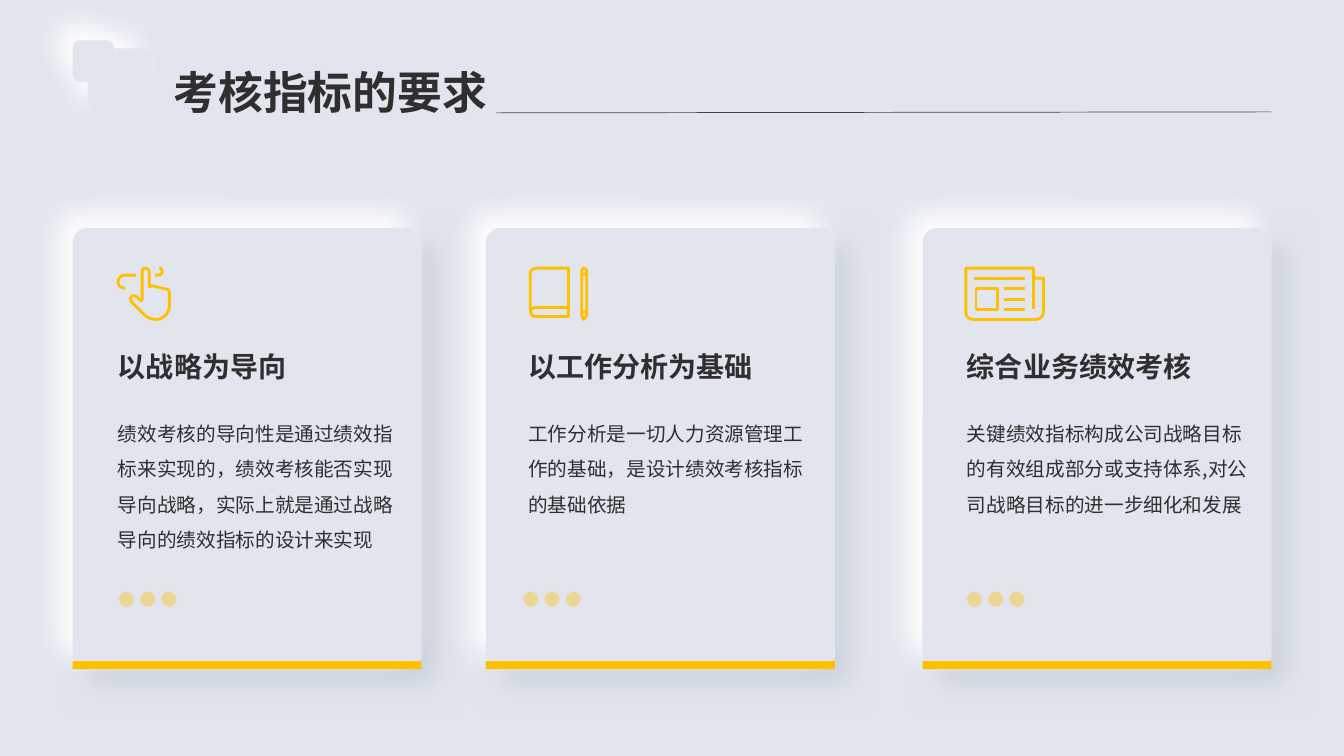
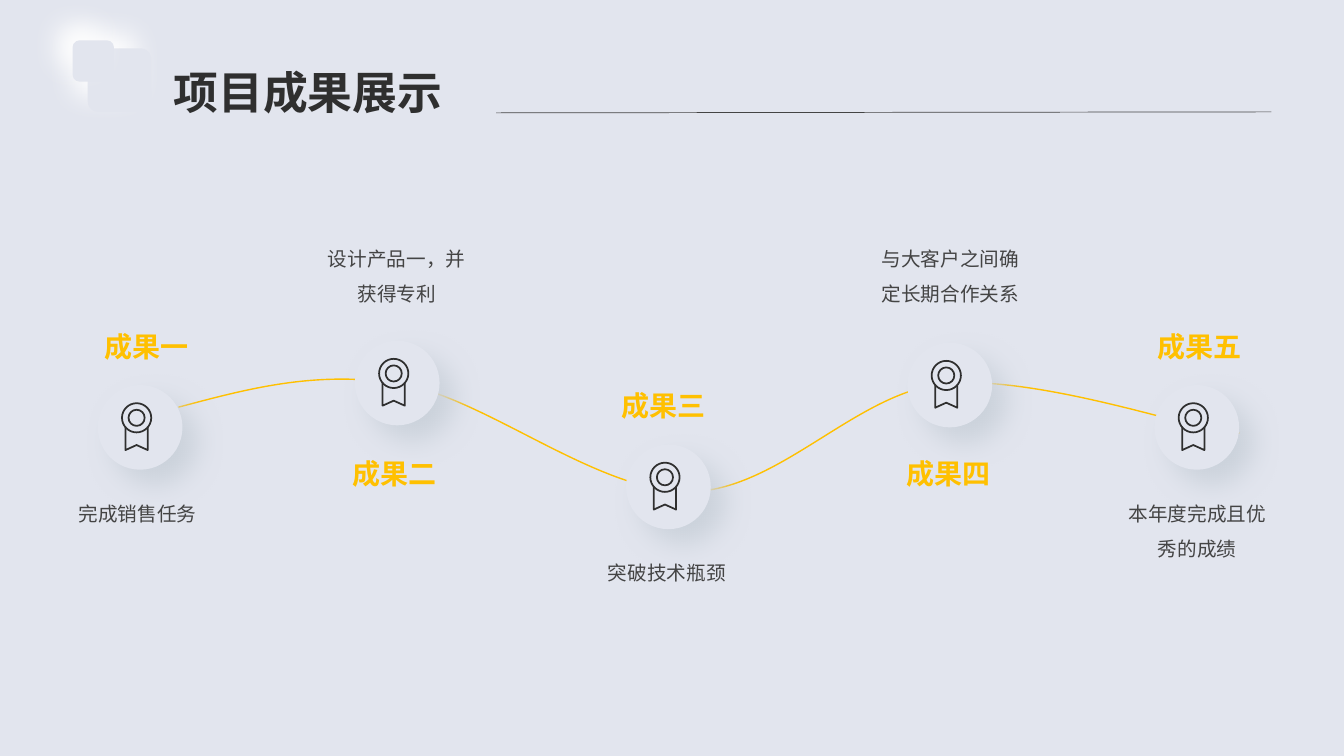
import pptx
import pptx.dml.color
import pptx.enum.shapes
import pptx.enum.text
import pptx.oxml.ns
import pptx.util
from lxml import etree

Inches, Pt = pptx.util.Inches, pptx.util.Pt
rgb = pptx.dml.color.RGBColor.from_string
qn = pptx.oxml.ns.qn
SHAPE = pptx.enum.shapes.MSO_SHAPE
LEFT, CENTER = pptx.enum.text.PP_ALIGN.LEFT, pptx.enum.text.PP_ALIGN.CENTER
TOP, BOTTOM = pptx.enum.text.MSO_ANCHOR.TOP, pptx.enum.text.MSO_ANCHOR.BOTTOM

FONT = "Noto Sans CJK SC"
PAPER, GOLD, INK, GREY = "E2E5EE", "FFC000", "2F2F2F", "444444"
LIGHT, SHADE = ("FFFFFF", 225), ("CCD3DC", 45)  # shadow colour and direction


def paint(shape, fill=PAPER, shadow=None, opacity=100):
    """Fill a shape without outline, with an optional soft shadow."""
    shape.fill.solid()
    shape.fill.fore_color.rgb = rgb(fill)
    shape.line.fill.background()
    shape.shadow.inherit = False
    properties = shape.element.spPr
    if opacity < 100:
        colour = properties.find(".//" + qn("a:srgbClr"))
        etree.SubElement(colour, qn("a:alpha"), val=str(opacity * 1000))
    if shadow:
        tint, degrees = shadow
        outer = etree.SubElement(
            properties.find(qn("a:effectLst")), qn("a:outerShdw"),
            blurRad=str(Pt(20)), dist=str(Pt(15)), dir=str(degrees * 60000),
            algn="ctr", rotWithShape="0")
        etree.SubElement(outer, qn("a:srgbClr"), val=tint)


def trace(slide, strokes, left, top, colour, width):
    """Draw strokes of points and six-number Bézier steps; "Z" closes one."""
    pen = None
    steps = []
    for stroke in strokes:
        closed = stroke[-1] == "Z"
        drawn = stroke[:-1] if closed else stroke
        steps += drawn[1:]
        ends = [(Inches(left + step[-2]), Inches(top + step[-1])) for step in drawn]
        if pen is None:
            pen = slide.shapes.build_freeform(*ends[0])
        else:
            pen.move_to(*ends[0])
        pen.add_line_segments(ends[1:], close=closed)
    outline = pen.convert_to_shape()
    outline.fill.background()
    outline.line.color.rgb = rgb(colour)
    outline.line.width = Pt(width)
    outline.shadow.inherit = False
    segments = list(outline.element.iter(qn("a:lnTo")))
    for segment, step in zip(segments, steps):
        if len(step) == 6:
            curve = etree.Element(qn("a:cubicBezTo"))
            for x, y in zip(step[::2], step[1::2]):
                etree.SubElement(curve, qn("a:pt"), x=str(Inches(left + x) - outline.left),
                                 y=str(Inches(top + y) - outline.top))
            segment.getparent().replace(segment, curve)


prs = pptx.Presentation()
prs.slide_width, prs.slide_height = Inches(13.33), Inches(7.5)
background = prs.slide_master.background.fill
background.solid()
background.fore_color.rgb = rgb(PAPER)

# Shared layout: title, two soft squares and a rule
layout = prs.slide_layouts[5]
for placeholder in list(layout.placeholders):
    if placeholder.placeholder_format.idx:
        placeholder.element.getparent().remove(placeholder.element)
    else:
        placeholder.left, placeholder.top = Inches(1.72), Inches(0.7)
        placeholder.width, placeholder.height = Inches(6.35), Inches(0.48)

requirements = prs.slides.add_slide(layout)
results = prs.slides.add_slide(layout)

header = []
for left, top, side in [(0.87, 0.48, 0.63), (0.72, 0.4, 0.41)]:
    square = requirements.shapes.add_shape(
        SHAPE.ROUNDED_RECTANGLE, Inches(left), Inches(top), Inches(side), Inches(side))
    paint(square, shadow=LIGHT)
    header.append(square)
rule = requirements.shapes.add_connector(
    pptx.enum.shapes.MSO_CONNECTOR.STRAIGHT,
    Inches(4.92), Inches(1.12), Inches(12.61), Inches(1.11))
rule.line.color.rgb = rgb(GREY)
rule.line.width = Pt(0.5)
etree.SubElement(rule.element.spPr, qn("a:effectLst"))
for part in header + [rule]:
    layout.shapes.element.append(part.element)

# Every text: frame, wording, size, bold, colour, alignment, anchor, line spacing
texts = [
    (slide.shapes.title.text_frame, wording, 32, True, INK, LEFT, TOP, 0.9)
    for slide, wording in [(requirements, "考核指标的要求"), (results, "项目成果展示")]
]

# Slide 1: three cards
hand = [
    [(0.31, 0.17), (0.31, 0.2)],
    [(0.31, 0.03), (0.31, 0.01, 0.29, 0, 0.27, 0), (0.25, 0, 0.24, 0.01, 0.24, 0.03),
     (0.24, 0.31), (0.24, 0.32, 0.23, 0.33, 0.22, 0.32), (0.18, 0.28),
     (0.17, 0.27, 0.14, 0.27, 0.13, 0.28), (0.12, 0.3, 0.12, 0.32, 0.13, 0.33),
     (0.26, 0.46), (0.29, 0.49, 0.33, 0.51, 0.38, 0.51),
     (0.45, 0.51, 0.51, 0.45, 0.51, 0.37), (0.51, 0.24),
     (0.51, 0.23, 0.5, 0.21, 0.49, 0.21), (0.31, 0.17), "Z"],
    [(0.18, 0.07), (0.07, 0.07), (0.03, 0.07, 0, 0.1, 0, 0.14), (0, 0.17, 0.03, 0.2, 0.07, 0.2)],
    [(0.37, 0.07), (0.41, 0.07), (0.43, 0.07, 0.44, 0.05, 0.44, 0.03),
     (0.44, 0.01, 0.43, 0, 0.41, 0)],
]
book = [
    [(0.38, 0), (0.38, 0.48), (0.05, 0.48), (0.05, 0.48, 0, 0.49, 0, 0.4), (0, 0.05),
     (0, 0.05, 0, 0, 0.07, 0), "Z"],
    [(0.38, 0.39), (0.08, 0.39), (0.08, 0.39, 0.01, 0.38, 0, 0.43)],
    [(0.53, 0.51), (0.56, 0.47), (0.56, 0.03), (0.56, 0.03, 0.56, 0, 0.53, 0),
     (0.51, 0, 0.51, 0.03, 0.51, 0.03), (0.51, 0.47), "Z"],
    [(0.56, 0.07), (0.53, 0.04, 0.51, 0.07, 0.51, 0.07)],
    [(0.56, 0.45), (0.53, 0.41, 0.51, 0.45, 0.51, 0.45)],
]
newspaper = [
    [(0.67, 0), (0.67, 0.1), (0.77, 0.1), (0.77, 0.43), (0.77, 0.48, 0.73, 0.51, 0.69, 0.51),
     (0.08, 0.51), (0.03, 0.51, 0, 0.48, 0, 0.44), (0, 0), "Z"],
    [(0.67, 0.1), (0.67, 0.41)],
    [(0.59, 0.1), (0.08, 0.1)],
    *[[(0.59, y), (0.38, y)] for y in (0.2, 0.31, 0.41)],
    [(0.1, 0.41), (0.31, 0.41), (0.31, 0.2), (0.1, 0.2), "Z"],
]
# Left edges of card, icon, text and dots, then the content
cards = [
    (0.72, 1.17, 1.17, 1.18, hand, "以战略为导向",
     "绩效考核的导向性是通过绩效指标来实现的，绩效考核能否实现导向战略，"
     "实际上就是通过战略导向的绩效指标的设计来实现"),
    (4.82, 5.26, 5.24, 5.19, book, "以工作分析为基础",
     "工作分析是一切人力资源管理工作的基础，是设计绩效考核指标的基础依据"),
    (9.15, 9.58, 9.59, 9.59, newspaper, "综合业务绩效考核",
     "关键绩效指标构成公司战略目标的有效组成部分或支持体系,对公司战略目标的进一步细化和发展"),
]
for card_left, icon_left, text_left, dots_left, icon, heading, body in cards:
    for rounding, shadow in [(0.038, SHADE), (0.043, LIGHT)]:
        card = requirements.shapes.add_shape(
            SHAPE.ROUNDED_RECTANGLE, Inches(card_left), Inches(2.26), Inches(3.46), Inches(4.38))
        card.adjustments[0] = rounding
        paint(card, shadow=shadow)
    bar = requirements.shapes.add_shape(
        SHAPE.RECTANGLE, Inches(card_left), Inches(6.56), Inches(3.46), Inches(0.08))
    paint(bar, GOLD)
    trace(requirements, icon, icon_left, 2.66, GOLD, 2)
    for n in range(3):
        dot = requirements.shapes.add_shape(
            SHAPE.OVAL, Inches(dots_left + 0.21 * n), Inches(5.87), Inches(0.15), Inches(0.15))
        paint(dot, GOLD, opacity=38)
    heading_box = requirements.shapes.add_textbox(
        Inches(text_left), Inches(3.46), Inches(2.25), Inches(0.34))
    body_box = requirements.shapes.add_textbox(
        Inches(text_left), Inches(4.07), Inches(2.86), Inches(1.37))
    texts += [
        (heading_box.text_frame, heading, 20, True, INK, LEFT, BOTTOM, 1.0),
        (body_box.text_frame, body, 14, False, INK, LEFT, TOP, 1.5),
    ]

# Slide 2: five medals along a wave
wave = [(1.77, 4.04), (2.45, 3.86, 3.13, 3.67, 3.98, 3.81), (4.82, 3.95, 5.92, 4.88, 6.82, 4.88),
        (7.71, 4.88, 8.46, 3.92, 9.33, 3.81), (10.21, 3.71, 11.65, 4.2, 12.08, 4.27),
        (12.51, 4.33, 12.2, 4.28, 11.89, 4.22)]
trace(results, [wave], 0, 0, GOLD, 1)

medal = [[(0.04, 0.24), (0.04, 0.47), (0.15, 0.42), (0.26, 0.47), (0.26, 0.24)]]
middle = 0.15
for radius in (0.08, 0.145):
    pull = 0.55 * radius
    ring = [(middle + radius, middle)]
    for x, y in [(1, 0), (0, 1), (-1, 0), (0, -1)]:
        # Quarter turn from direction (x, y) to (-y, x)
        ring.append((
            middle + radius * x - pull * y, middle + radius * y + pull * x,
            middle - radius * y + pull * x, middle + radius * x + pull * y,
            middle - radius * y, middle + radius * x))
    medal.append(ring + ["Z"])

# Medal left and top, heading left, detail left, detail lines, detail above, wording
milestones = [
    (0.97, 3.82, 0.68, 0.66, 1, False, "成果一", "完成销售任务"),
    (3.52, 3.38, 3.14, 3.23, 2, True, "成果二", "设计产品一，并获得专利"),
    (6.21, 4.41, 5.81, 5.91, 1, False, "成果三", "突破技术瓶颈"),
    (9.0, 3.4, 8.64, 8.72, 2, True, "成果四", "与大客户之间确定长期合作关系"),
    (11.45, 3.82, 11.13, 11.17, 2, False, "成果五", "本年度完成且优秀的成绩"),
]
for left, top, heading_left, detail_left, lines, above, heading, detail in milestones:
    disc = results.shapes.add_shape(
        SHAPE.OVAL, Inches(left), Inches(top), Inches(0.84), Inches(0.84))
    paint(disc, shadow=SHADE)
    trace(results, medal, left + 0.235, top + 0.175, INK, 1.25)
    heading_top, detail_top = (4.36, 2.37) if above else (top - 0.67, top + 1.04)
    heading_box = results.shapes.add_textbox(
        Inches(heading_left), Inches(heading_top), Inches(1.54), Inches(0.45))
    detail_box = results.shapes.add_textbox(
        Inches(detail_left), Inches(detail_top), Inches(1.41), Inches(0.33 * lines))
    texts += [
        (heading_box.text_frame, heading, 20, True, GOLD, CENTER, TOP if above else BOTTOM, 1.5),
        (detail_box.text_frame, detail, 14, False, GREY, CENTER, BOTTOM if above else TOP, 1.5),
    ]

for frame, wording, size, bold, colour, alignment, anchor, spacing in texts:
    frame.text = wording
    frame.margin_left = frame.margin_top = frame.margin_right = frame.margin_bottom = 0
    frame.word_wrap = True
    frame.auto_size = pptx.enum.text.MSO_AUTO_SIZE.SHAPE_TO_FIT_TEXT
    frame.vertical_anchor = anchor
    paragraph = frame.paragraphs[0]
    paragraph.alignment = alignment
    paragraph.line_spacing = spacing
    run = paragraph.runs[0]
    run.font.name, run.font.size, run.font.bold = FONT, Pt(size), bold
    run.font.color.rgb = rgb(colour)
    latin = run._r.rPr.find(qn("a:latin"))
    latin.addnext(etree.Element(qn("a:ea"), typeface=FONT))

prs.save("out.pptx")
